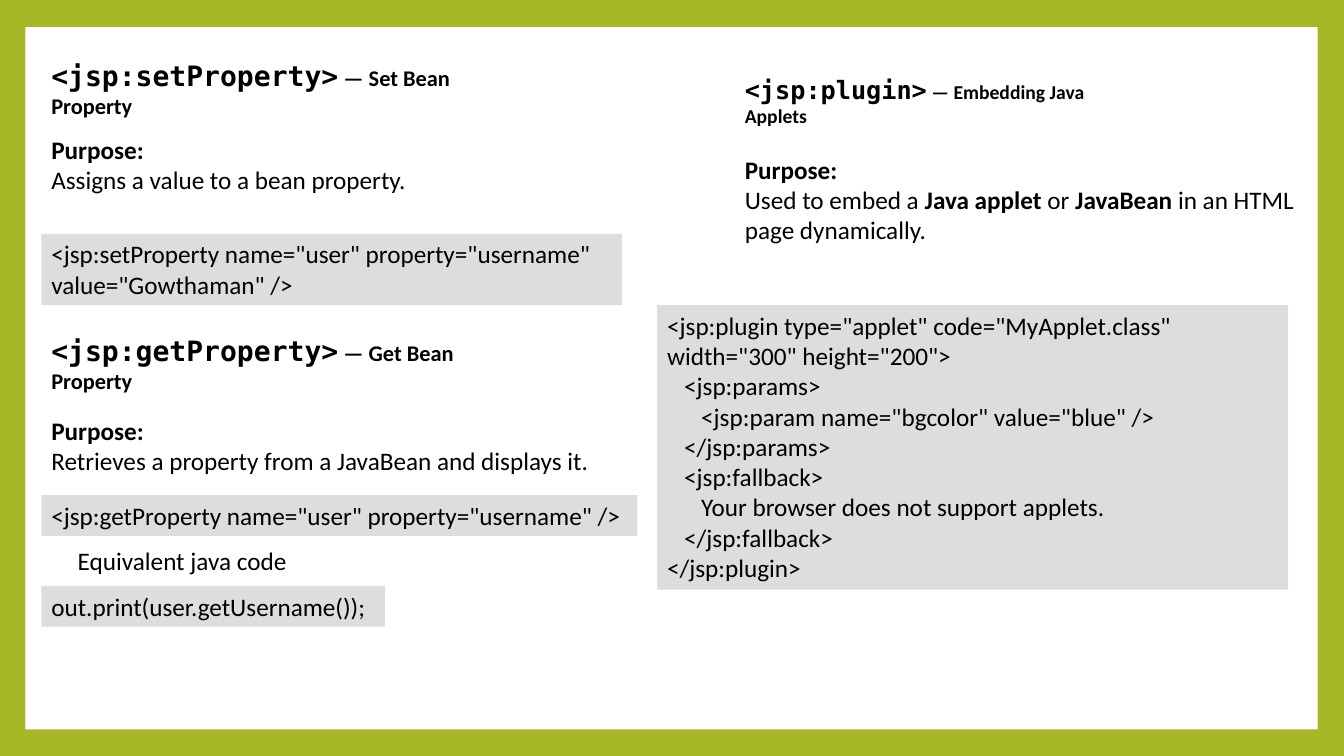
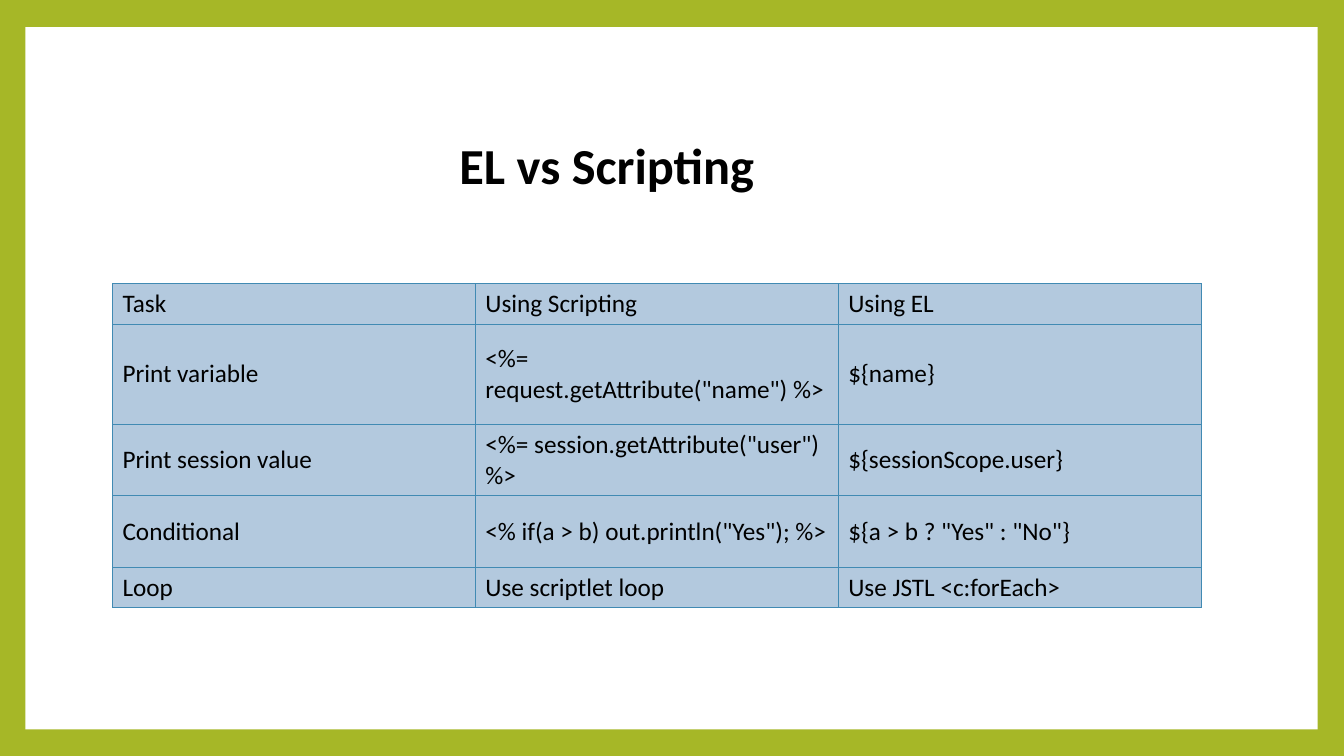
from dataclasses import dataclass

from lxml.etree import SubElement
from pptx import Presentation
from pptx.dml.color import RGBColor
from pptx.enum.shapes import MSO_SHAPE
from pptx.enum.text import MSO_ANCHOR
from pptx.oxml.ns import qn
from pptx.util import Inches, Pt


@dataclass(frozen=True)
class Theme:
    border: str = "A6B727"
    paper: str = "FFFFFF"
    code: str = "DDDDDD"
    cell: str = "B3C9DE"
    rule: str = "418AB3"
    ink: str = "000000"
    font: str = "Calibri"
    mono: str = "DejaVu Sans Mono"
    title: int = 36
    body: int = 18
    rule_width: float = 0.79


THEME = Theme()
WIDTH, HEIGHT = Inches(13.333), Inches(7.5)
LEFT = 3.08    # left text column, percent of the width
RIGHT = 54.68  # right text column
HEADING_HEIGHT = 9.3

PLUGIN_CODE = """<jsp:plugin type="applet" code="MyApplet.class" width="300" height="200">
   <jsp:params>
      <jsp:param name="bgcolor" value="blue" />
   </jsp:params>
   <jsp:fallback>
      Your browser does not support applets.
   </jsp:fallback>
</jsp:plugin>"""

COMPARISON = [
    ("Task", "Using Scripting", "Using EL"),
    ("Print variable", '<%= request.getAttribute("name") %>', "${name}"),
    ("Print session value", '<%= session.getAttribute("user") %>', "${sessionScope.user}"),
    ("Conditional", '<% if(a > b) out.println("Yes"); %>', '${a > b ? "Yes" : "No"}'),
    ("Loop", "Use scriptlet loop", "Use JSTL <c:forEach>"),
]
ROW_HEIGHTS = (5.38, 13.25, 9.45, 9.45, 5.38)


# Measures: positions are percentages of the slide
def across(share):
    return int(WIDTH * share / 100)


def down(share):
    return int(HEIGHT * share / 100)


def area(left, top, width, height):
    return across(left), down(top), across(width), down(height)


def lines_high(count):
    """Height of a box holding this many body lines."""
    return 1.36 + 4.03 * count


# Text and shapes
def style(span, size=THEME.body, bold=False, font=THEME.font):
    span.font.name = font
    span.font.size = Pt(size)
    span.font.bold = bold
    span.font.color.rgb = RGBColor.from_string(THEME.ink)


def add_span(para, text, **look):
    span = para.add_run()
    span.text = text
    style(span, **look)


def style_all(frame, **look):
    for para in frame.paragraphs:
        for span in para.runs:
            style(span, **look)


def add_box(page, *place):
    frame = page.shapes.add_textbox(*area(*place)).text_frame
    frame.word_wrap = True
    return frame


def add_label(page, text, *place, **look):
    frame = add_box(page, *place)
    frame.text = text
    style_all(frame, **look)


def add_panel(page, colour, *place):
    panel = page.shapes.add_shape(MSO_SHAPE.RECTANGLE, *area(*place))
    panel.shadow.inherit = False
    panel.fill.solid()
    panel.fill.fore_color.rgb = RGBColor.from_string(colour)
    panel.line.fill.background()
    return panel


def add_heading(page, tag, caption, left, top, width, size=20):
    frame = add_box(page, left, top, width, HEADING_HEIGHT)
    frame.vertical_anchor = MSO_ANCHOR.MIDDLE
    para = frame.paragraphs[0]
    add_span(para, tag, size=size, bold=True, font=THEME.mono)
    add_span(para, " — " + caption, size=size - 4, bold=True)


def add_purpose(page, spans, left, top, width, lines=2):
    """Spans alternate between regular and bold."""
    frame = add_box(page, left, top, width, lines_high(lines))
    add_span(frame.paragraphs[0], "Purpose:", bold=True)
    para = frame.add_paragraph()
    for index, text in enumerate(spans):
        add_span(para, text, bold=index % 2 == 1)


def add_code(page, code, left, top, width, lines=1):
    frame = add_panel(page, THEME.code, left, top, width, lines_high(lines)).text_frame
    frame.word_wrap = True
    frame.vertical_anchor = MSO_ANCHOR.TOP
    frame.text = code
    for para in frame.paragraphs:
        para.alignment = 1
    style_all(frame)


# Table
def outline_cell(cell):
    properties = cell._tc.get_or_add_tcPr()
    for position, side in enumerate(("a:lnL", "a:lnR", "a:lnT", "a:lnB")):
        line = SubElement(properties, qn(side), w=str(int(Pt(THEME.rule_width))))
        properties.insert(position, line)
        fill = SubElement(line, qn("a:solidFill"))
        SubElement(fill, qn("a:srgbClr"), val=THEME.rule)


def add_grid(page, rows, heights, left, top, width):
    place = area(left, top, width, sum(heights))
    table = page.shapes.add_table(len(rows), len(rows[0]), *place).table
    table.first_row = table.horz_banding = False
    for row, height, texts in zip(table.rows, heights, rows):
        row.height = down(height)
        for cell, text in zip(row.cells, texts):
            cell.text = text
            cell.vertical_anchor = MSO_ANCHOR.MIDDLE
            cell.fill.solid()
            cell.fill.fore_color.rgb = RGBColor.from_string(THEME.cell)
            style_all(cell.text_frame)
            outline_cell(cell)


# Pages
def start_deck():
    deck = Presentation()
    deck.slide_width, deck.slide_height = WIDTH, HEIGHT
    fill = deck.slide_master.background.fill
    fill.solid()
    fill.fore_color.rgb = RGBColor.from_string(THEME.border)
    return deck


def add_page(deck):
    page = deck.slides.add_slide(deck.slide_layouts[6])
    add_panel(page, THEME.paper, 1.9, 3.6, 96.15, 92.9)
    return page


def build_actions(page):
    # Left column: setting and getting a property
    add_heading(page, "<jsp:setProperty>", "Set Bean Property", LEFT, 7.1, 33.75)
    add_purpose(page, ["Assigns a value to a bean property."], LEFT, 17.07, 50)
    add_code(page, '<jsp:setProperty name="user" property="username" value="Gowthaman" />',
             LEFT, 30.93, 43.2, lines=2)
    add_heading(page, "<jsp:getProperty>", "Get Bean Property", LEFT, 43.5, 33.75)
    add_purpose(page, ["Retrieves a property from a JavaBean and displays it."],
                LEFT, 54.27, 50)
    add_code(page, '<jsp:getProperty name="user" property="username" />', LEFT, 65.5, 44.33)
    add_label(page, "Equivalent java code", 5.05, 71.5, 17.6, lines_high(1))
    add_code(page, "out.print(user.getUsername());", LEFT, 77.5, 25.55)

    # Right column: the plugin
    add_heading(page, "<jsp:plugin>", "Embedding Java Applets", RIGHT, 8.7, 29.4, size=18)
    add_purpose(page, ["Used to embed a ", "Java applet", " or ", "JavaBean",
                       " in an HTML page dynamically."], RIGHT, 19.73, 43.05, lines=3)
    add_code(page, PLUGIN_CODE, 48.9, 40.37, 46.95, lines=9)


def build_comparison(page):
    add_grid(page, COMPARISON, ROW_HEIGHTS, 8.37, 37.5, 81)
    add_label(page, "EL vs Scripting", 33.45, 17.07, 25.4, 9.45,
              size=THEME.title, bold=True)


def main():
    deck = start_deck()
    for build in (build_actions, build_comparison):
        build(add_page(deck))
    deck.save("out.pptx")


if __name__ == "__main__":
    main()
